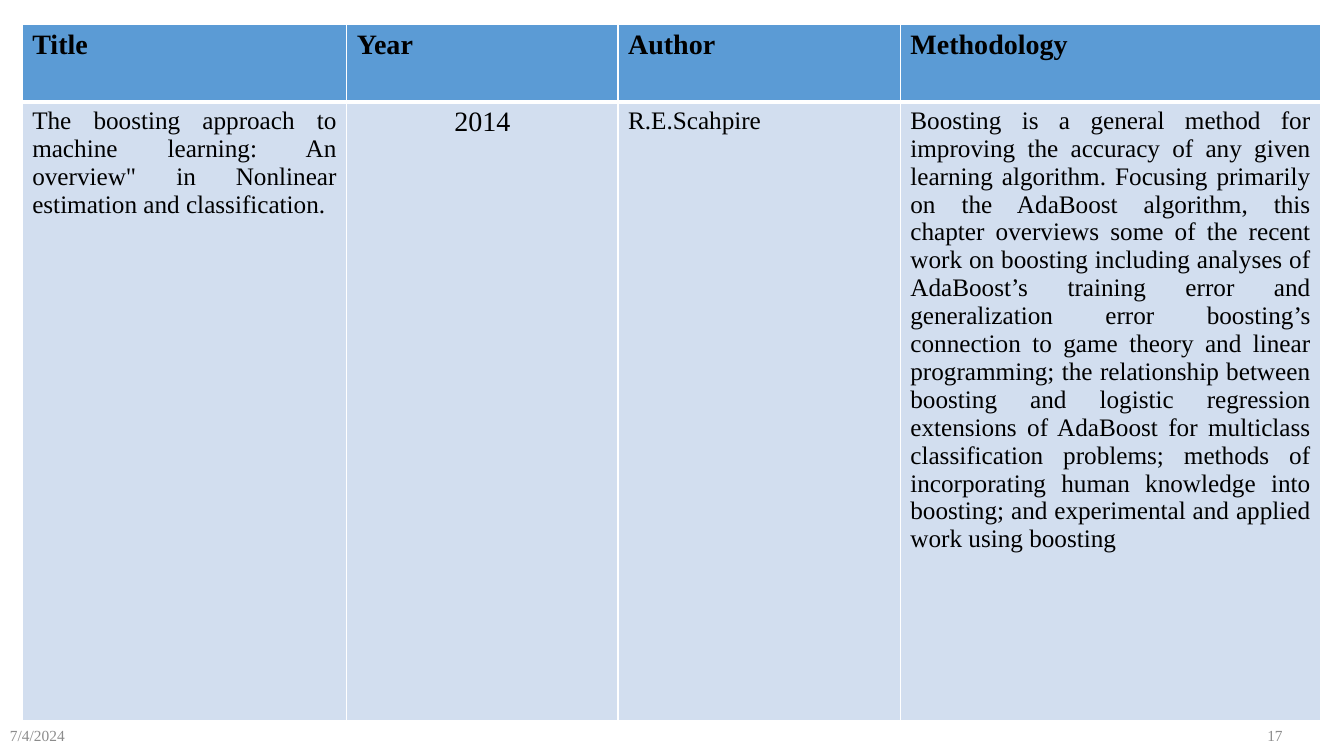
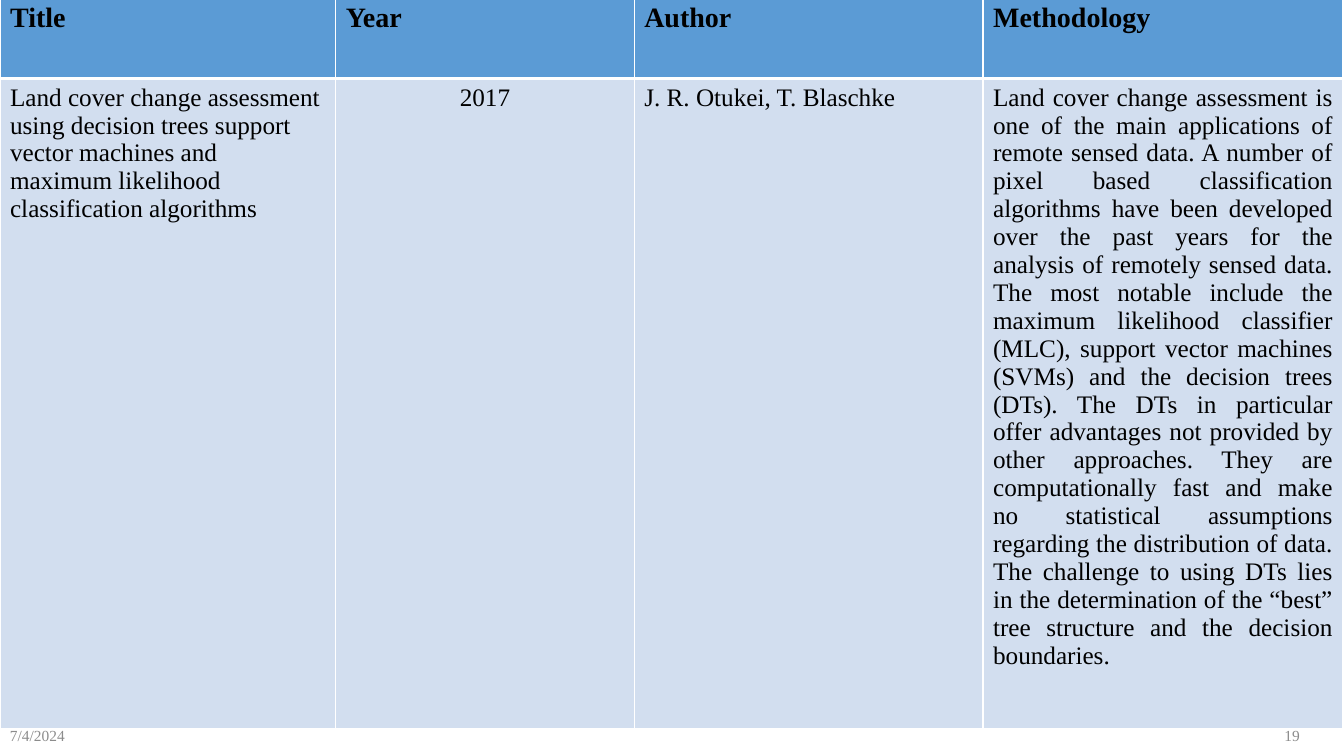
from dataclasses import dataclass

from lxml import etree
from pptx import Presentation
from pptx.dml.color import RGBColor
from pptx.enum.text import MSO_ANCHOR, PP_ALIGN
from pptx.oxml.ns import qn
from pptx.util import Inches, Pt

LEFT, CENTER, RIGHT, JUSTIFY = PP_ALIGN.LEFT, PP_ALIGN.CENTER, PP_ALIGN.RIGHT, PP_ALIGN.JUSTIFY
MIDDLE = MSO_ANCHOR.MIDDLE


@dataclass(frozen=True)
class Theme:
    font: str = "Times New Roman"
    text: str = "000000"
    muted: str = "8C8C8C"
    header_fill: str = "5B9BD5"
    body_fill: str = "D2DEEF"
    border: str = "FFFFFF"
    thin: int = 1
    thick: int = 3
    header_size: int = 20
    body_size: int = 18
    footer_size: int = 11


THEME = Theme()
DATE = "7/4/2024"
HEADERS = ("Title", "Year", "Author", "Methodology")

SURVEY = [
    {
        "number": "17",
        "number_left": 11.67,
        "origin": (0.22, 0.24),
        "columns": (3.22, 2.69, 2.8, 4.17),
        "rows": (0.77, 6.14),
        "cells": (
            ("The boosting approach to machine learning: An overview\" in Nonlinear estimation "
             "and classification.", JUSTIFY, THEME.body_size),
            ("2014", CENTER, THEME.header_size),
            ("R.E.Scahpire", LEFT, THEME.body_size),
            ("Boosting is a general method for improving the accuracy of any given learning "
             "algorithm. Focusing primarily on the AdaBoost algorithm, this chapter overviews "
             "some of the recent work on boosting including analyses of AdaBoost’s training "
             "error and generalization error boosting’s connection to game theory and linear "
             "programming; the relationship between boosting and logistic regression extensions "
             "of AdaBoost for multiclass classification problems; methods of incorporating human "
             "knowledge into boosting; and experimental and applied work using boosting",
             JUSTIFY, THEME.body_size),
        ),
    },
    {
        "number": "19",
        "number_left": 11.84,
        "origin": (0, -0.03),
        "columns": (3.33, 2.96, 3.46, 3.57),
        "rows": (0.81, 6.45),
        "cells": (
            ("Land cover change assessment using decision trees support vector machines and "
             "maximum likelihood classification algorithms", LEFT, THEME.body_size),
            ("2017", CENTER, THEME.body_size),
            ("J. R. Otukei, T. Blaschke", LEFT, THEME.body_size),
            ("Land cover change assessment is one of the main applications of remote sensed "
             "data. A number of pixel based classification algorithms have been developed over "
             "the past years for the analysis of remotely sensed data. The most notable include "
             "the maximum likelihood classifier (MLC), support vector machines (SVMs) and the "
             "decision trees (DTs). The DTs in particular offer advantages not provided by other "
             "approaches. They are computationally fast and make no statistical assumptions "
             "regarding the distribution of data. The challenge to using DTs lies in the "
             "determination of the “best” tree structure and the decision boundaries.",
             JUSTIFY, THEME.body_size),
        ),
    },
]


def write(text_frame, text, size, color, align=LEFT, bold=False):
    paragraph = text_frame.paragraphs[0]
    paragraph.text = text
    paragraph.alignment = align
    paragraph.font.name = THEME.font
    paragraph.font.size = Pt(size)
    paragraph.font.bold = bold
    paragraph.font.color.rgb = RGBColor.from_string(color)


def add_footer(slide, text, left, width, align):
    box = slide.shapes.add_textbox(Inches(left), Inches(7.1), Inches(width), Inches(0.4))
    box.text_frame.word_wrap = True
    box.text_frame.vertical_anchor = MIDDLE
    write(box.text_frame, text, THEME.footer_size, THEME.muted, align)


def style_cell(cell, fill, top, bottom):
    properties = cell._tc.get_or_add_tcPr()
    edges = {"a:lnL": THEME.thin, "a:lnR": THEME.thin, "a:lnT": top, "a:lnB": bottom}
    for tag, width in edges.items():
        line = etree.SubElement(properties, qn(tag), w=str(Pt(width)))
        solid = etree.SubElement(line, qn("a:solidFill"))
        etree.SubElement(solid, qn("a:srgbClr"), val=THEME.border)
    cell.fill.solid()
    cell.fill.fore_color.rgb = RGBColor.from_string(fill)


def add_survey_table(slide, entry):
    columns, rows = entry["columns"], entry["rows"]
    left, top = entry["origin"]
    table = slide.shapes.add_table(
        len(rows), len(columns), Inches(left), Inches(top),
        Inches(sum(columns)), Inches(sum(rows))).table
    for row, height in zip(table.rows, rows):
        row.height = Inches(height)
    for index, width in enumerate(columns):
        table.columns[index].width = Inches(width)
        header, body = table.cell(0, index), table.cell(1, index)
        style_cell(header, THEME.header_fill, THEME.thin, THEME.thick)
        style_cell(body, THEME.body_fill, THEME.thick, THEME.thin)
        write(header.text_frame, HEADERS[index], THEME.header_size, THEME.text, bold=True)
        text, align, size = entry["cells"][index]
        write(body.text_frame, text, size, THEME.text, align)


def main():
    presentation = Presentation()
    presentation.slide_width = Inches(13.33)
    presentation.slide_height = Inches(7.5)
    for entry in SURVEY:
        slide = presentation.slides.add_slide(presentation.slide_layouts[6])
        add_footer(slide, DATE, 0, 3.11, LEFT)
        add_footer(slide, entry["number"], entry["number_left"], 1.15, RIGHT)
        add_survey_table(slide, entry)
    presentation.save("out.pptx")


if __name__ == "__main__":
    main()
